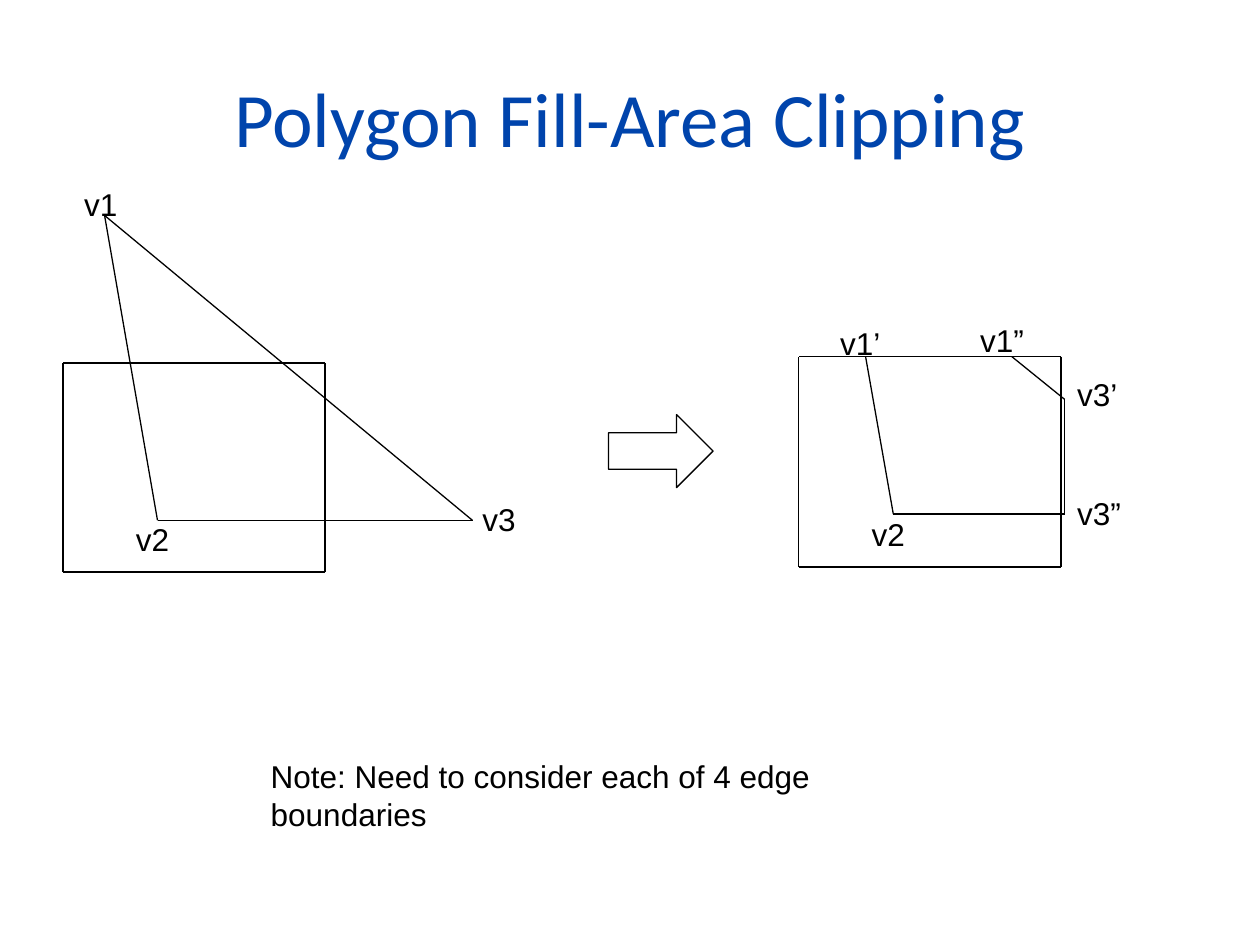
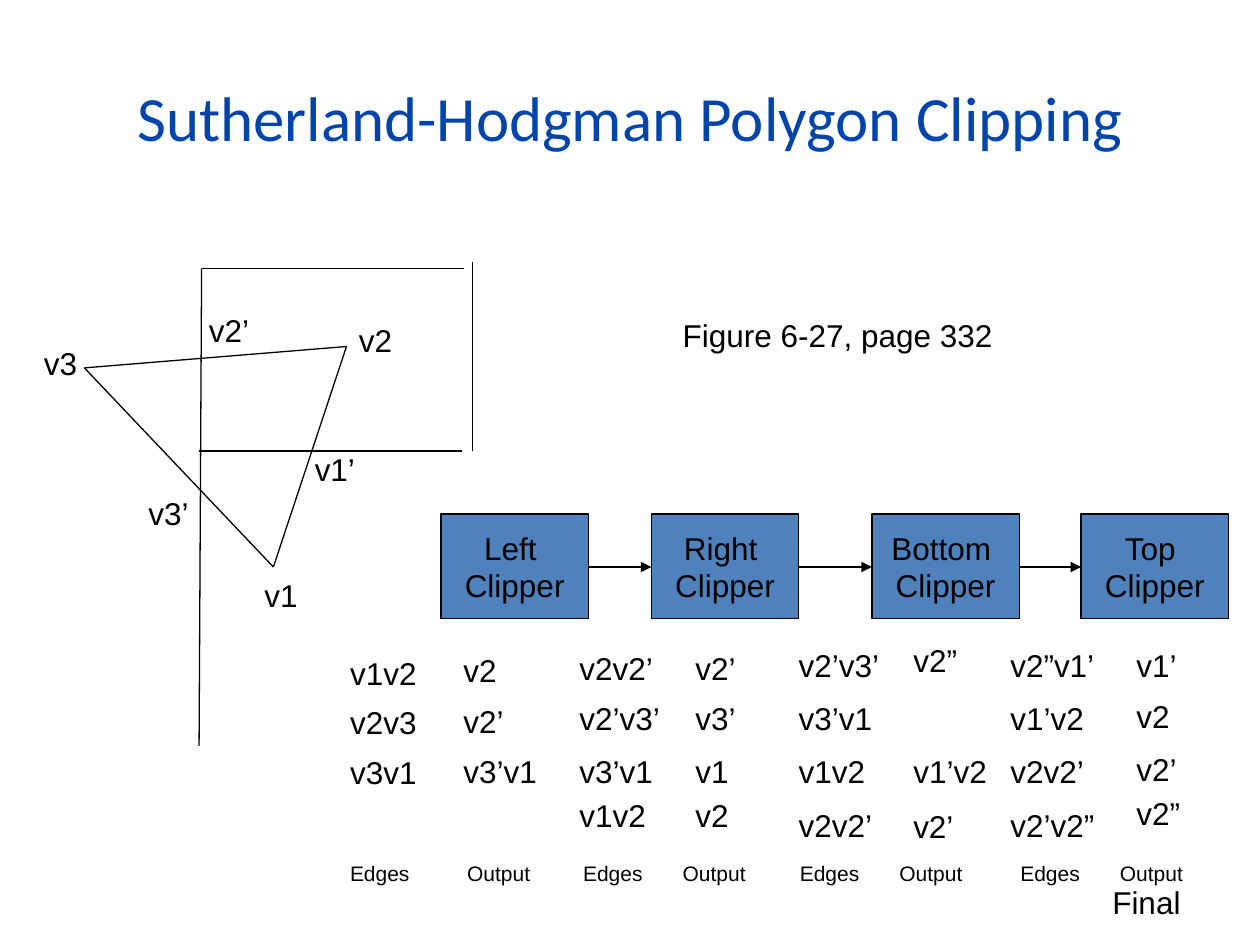
from dataclasses import dataclass
from itertools import pairwise

from lxml import etree
from pptx import Presentation
from pptx.dml.color import RGBColor
from pptx.enum.shapes import MSO_CONNECTOR, MSO_SHAPE
from pptx.enum.text import MSO_ANCHOR, MSO_AUTO_SIZE, PP_ALIGN
from pptx.oxml.ns import qn
from pptx.shapes.autoshape import Shape
from pptx.slide import Slide
from pptx.util import Inches, Pt

STRAIGHT = MSO_CONNECTOR.STRAIGHT
RECTANGLE, RIGHT_ARROW = MSO_SHAPE.RECTANGLE, MSO_SHAPE.RIGHT_ARROW
CENTER, MIDDLE, NO_AUTOFIT = PP_ALIGN.CENTER, MSO_ANCHOR.MIDDLE, MSO_AUTO_SIZE.NONE

TITLE_BLUE = RGBColor(0x00, 0x44, 0xAC)
CLIPPER_BLUE = RGBColor(0x4F, 0x81, 0xBD)
BLACK = RGBColor(0x00, 0x00, 0x00)
TITLE_FONT, BODY_FONT = "Calibri", "Arial"
LINE_WIDTH = Pt(0.75)

# Widths in inches of the characters in vertex names at 18 points
GLYPH_WIDTHS = {"v": 0.125, "’": 0.055, "”": 0.083}
DIGIT_WIDTH = 0.139
SIDE_INSETS = 0.2

Point = tuple[float, float]


@dataclass(frozen=True)
class Label:
    text: str
    left: float
    top: float


@dataclass(frozen=True)
class VertexColumn:
    """One column of edges or output vertices under a clipper."""
    left: float
    entries: dict[float, str]


@dataclass(frozen=True)
class Clipper:
    name: str
    left: float


@dataclass(frozen=True)
class ColumnCaption:
    left: float
    width: float
    output_tab: float


# Slide 1: triangle before clipping, polygon after it
TRIANGLE_LABELS = [
    Label("v1", 0.57, 1.42), Label("v2", 0.98, 4.08), Label("v3", 3.73, 3.92),
]
CLIPPED_LABELS = [
    Label("v1’", 6.57, 2.52), Label("v1”", 7.68, 2.5), Label("v2", 6.82, 4.04),
    Label("v3’", 8.45, 2.93), Label("v3”", 8.45, 3.87),
]

# Slide 2: triangle, clipper pipeline and its vertex lists
PIPELINE_LABELS = [
    Label("v1", 2, 4.52), Label("v2", 2.75, 2.5), Label("v3", 0.25, 2.68),
    Label("v1’", 2.4, 3.52), Label("v2’", 1.56, 2.42), Label("v3’", 1.08, 3.87),
]
CLIPPER_TOP, CLIPPER_WIDTH, CLIPPER_HEIGHT = 4.08, 1.17, 0.83
CLIPPERS = [
    Clipper("Left", 3.5), Clipper("Right", 5.17),
    Clipper("Bottom", 6.92), Clipper("Top", 8.58),
]
VERTEX_COLUMNS = [
    VertexColumn(2.68, {5.14: "v1v2", 5.53: "v2v3", 5.93: "v3v1"}),
    VertexColumn(3.58, {5.12: "v2", 5.52: "v2’", 5.92: "v3’v1"}),
    VertexColumn(4.5, {5.1: "v2v2’", 5.5: "v2’v3’", 5.92: "v3’v1", 6.27: "v1v2"}),
    VertexColumn(5.42, {5.1: "v2’", 5.5: "v3’", 5.92: "v1", 6.27: "v2"}),
    VertexColumn(6.24, {5.08: "v2’v3’", 5.5: "v3’v1", 5.92: "v1v2", 6.35: "v2v2’"}),
    VertexColumn(7.15, {5.04: "v2”", 5.92: "v1’v2", 6.36: "v2’"}),
    VertexColumn(7.92, {5.08: "v2”v1’", 5.5: "v1’v2", 5.92: "v2v2’", 6.35: "v2’v2”"}),
    VertexColumn(8.92, {5.08: "v1’", 5.48: "v2", 5.9: "v2’", 6.25: "v2”"}),
]
COLUMN_CAPTIONS = [
    ColumnCaption(2.68, 1.64, 0.93), ColumnCaption(4.53, 1.5, 0.79),
    ColumnCaption(6.25, 1.5, 0.79), ColumnCaption(8, 1.5, 0.79),
]


def add_titled_slide(deck: Presentation, text: str, size: int) -> Slide:
    slide = deck.slides.add_slide(deck.slide_layouts[5])
    title = slide.shapes.title
    title.left, title.top = Inches(0.5), Inches(0.3)
    title.width, title.height = Inches(9), Inches(1.25)
    frame = title.text_frame
    frame.text = text
    frame.auto_size = NO_AUTOFIT
    frame.vertical_anchor = MIDDLE
    para = frame.paragraphs[0]
    para.alignment = CENTER
    para.font.name = TITLE_FONT
    para.font.size = Pt(size)
    para.font.color.rgb = TITLE_BLUE
    return slide


def style_text(shape: Shape, size: int = 18) -> None:
    for para in shape.text_frame.paragraphs:
        para.font.name = BODY_FONT
        para.font.size = Pt(size)
        para.font.color.rgb = BLACK


def add_text(slide: Slide, text: str, left: float, top: float, width: float,
             wrap: bool = True) -> None:
    box = slide.shapes.add_textbox(Inches(left), Inches(top), Inches(width), Inches(0.4))
    box.text_frame.word_wrap = wrap
    box.text_frame.text = text
    style_text(box)


def add_label(slide: Slide, label: Label) -> None:
    glyphs = sum(GLYPH_WIDTHS.get(glyph, DIGIT_WIDTH) for glyph in label.text)
    add_text(slide, label.text, label.left, label.top, SIDE_INSETS + glyphs, wrap=False)


def add_line(slide: Slide, start: Point, end: Point, arrow: bool = False) -> None:
    line = slide.shapes.add_connector(STRAIGHT, *map(Inches, start + end))
    line.line.color.rgb = BLACK
    line.line.width = LINE_WIDTH
    if arrow:
        etree.SubElement(line.line._get_or_add_ln(), qn("a:tailEnd"), type="triangle")
    etree.SubElement(line._element.spPr, qn("a:effectLst"))


def add_path(slide: Slide, *points: Point) -> None:
    for start, end in pairwise(points):
        add_line(slide, start, end)


def add_window(slide: Slide, left: float, top: float, right: float, bottom: float) -> None:
    add_path(slide, (left, top), (right, top), (right, bottom), (left, bottom), (left, top))


def add_outlined_shape(slide: Slide, kind: MSO_SHAPE, left: float, top: float,
                       width: float, height: float) -> Shape:
    shape = slide.shapes.add_shape(kind, *map(Inches, (left, top, width, height)))
    shape.shadow.inherit = False
    shape.fill.background()
    shape.line.color.rgb = BLACK
    shape.line.width = LINE_WIDTH
    return shape


def add_clipper(slide: Slide, clipper: Clipper) -> None:
    box = add_outlined_shape(slide, RECTANGLE, clipper.left, CLIPPER_TOP,
                             CLIPPER_WIDTH, CLIPPER_HEIGHT)
    box.fill.solid()
    box.fill.fore_color.rgb = CLIPPER_BLUE
    box.text_frame.text = f"{clipper.name} \nClipper"
    box.text_frame.vertical_anchor = MIDDLE
    for para in box.text_frame.paragraphs:
        para.alignment = CENTER
    style_text(box)


def add_column_caption(slide: Slide, caption: ColumnCaption) -> None:
    box = slide.shapes.add_textbox(Inches(caption.left), Inches(6.78),
                                   Inches(caption.width), Inches(0.3))
    box.text_frame.word_wrap = True
    box.text_frame.text = "Edges\tOutput"
    properties = box.text_frame.paragraphs[0]._p.get_or_add_pPr()
    tabs = etree.SubElement(properties, qn("a:tabLst"))
    etree.SubElement(tabs, qn("a:tab"), pos=str(Inches(caption.output_tab)), algn="l")
    style_text(box, 12)


def build_fill_area_slide(deck: Presentation) -> None:
    slide = add_titled_slide(deck, "Polygon Fill-Area Clipping", 44)

    # Triangle over the clipping window
    add_window(slide, 0.5, 2.88, 2.58, 4.54)
    add_path(slide, (0.83, 1.71), (1.25, 4.13), (3.75, 4.13), (0.83, 1.71))

    # Clipped polygon
    add_window(slide, 6.34, 2.83, 8.42, 4.5)
    add_path(slide, (8.12, 2.83), (6.87, 2.83), (7.09, 4.08), (8.45, 4.08),
             (8.45, 3.17), (8.03, 2.83))

    for label in TRIANGLE_LABELS + CLIPPED_LABELS:
        add_label(slide, label)
    add_outlined_shape(slide, RIGHT_ARROW, 4.83, 3.29, 0.83, 0.58)
    add_text(slide, "Note: Need to consider each of 4 edge boundaries", 2.05, 5.96, 5.78)


def build_pipeline_slide(deck: Presentation) -> None:
    slide = add_titled_slide(deck, "Sutherland-Hodgman Polygon Clipping", 36)

    # Window boundaries and triangle
    add_path(slide, (3.68, 2.13), (1.6, 2.13), (1.58, 5.92))
    add_line(slide, (3.67, 3.58), (1.58, 3.58))
    add_line(slide, (3.75, 2.08), (3.75, 3.58))
    add_path(slide, (0.67, 2.92), (2.17, 4.5), (2.75, 2.75), (0.67, 2.92))
    for label in PIPELINE_LABELS:
        add_label(slide, label)
    add_text(slide, "Figure 6-27, page 332", 5.32, 2.46, 2.66, wrap=False)

    # Clippers joined by arrows
    for clipper in CLIPPERS:
        add_clipper(slide, clipper)
    for source, target in pairwise(CLIPPERS):
        add_line(slide, (source.left + CLIPPER_WIDTH, 4.5), (target.left, 4.5), arrow=True)

    # Vertex lists
    for column in VERTEX_COLUMNS:
        for top, text in column.entries.items():
            add_label(slide, Label(text, column.left, top))
    for caption in COLUMN_CAPTIONS:
        add_column_caption(slide, caption)
    add_text(slide, "Final", 8.73, 6.96, 0.74, wrap=False)


def main() -> None:
    deck = Presentation()
    deck.slide_width, deck.slide_height = Inches(10), Inches(7.5)
    build_fill_area_slide(deck)
    build_pipeline_slide(deck)
    deck.save("out.pptx")


if __name__ == "__main__":
    main()
